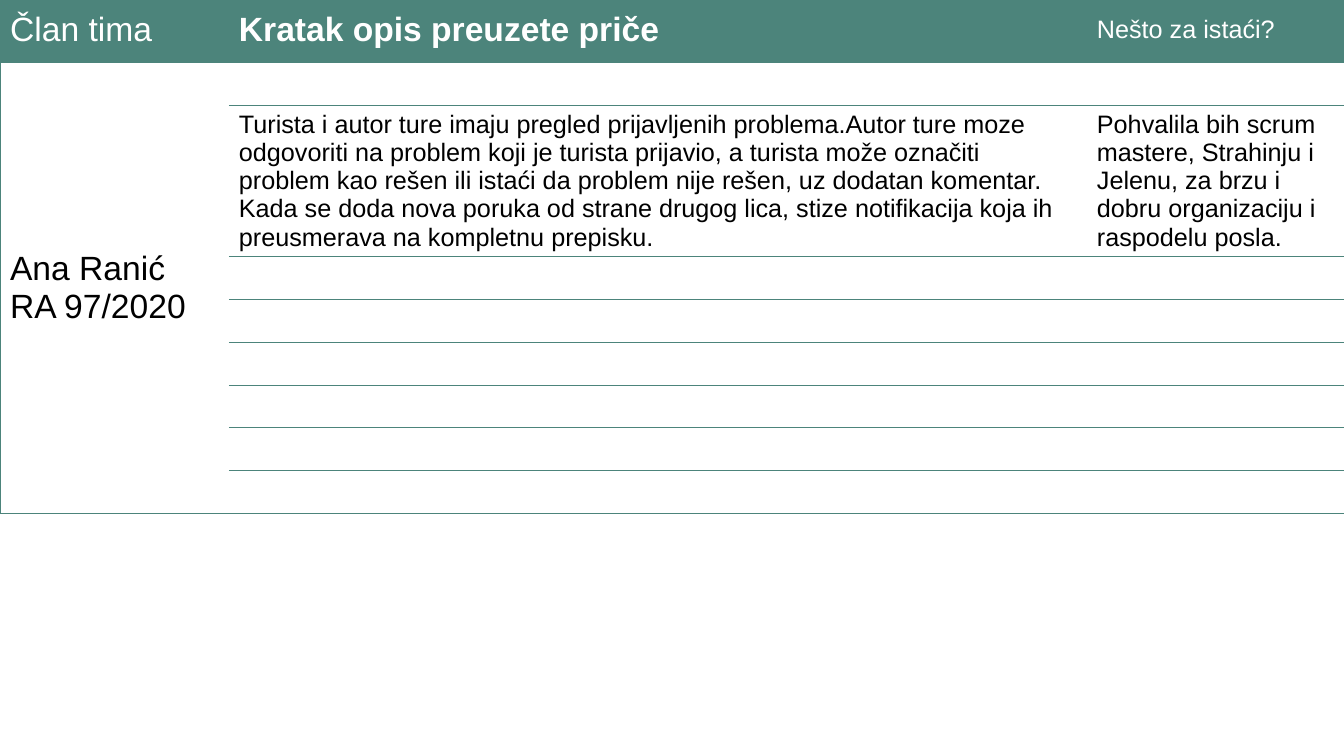
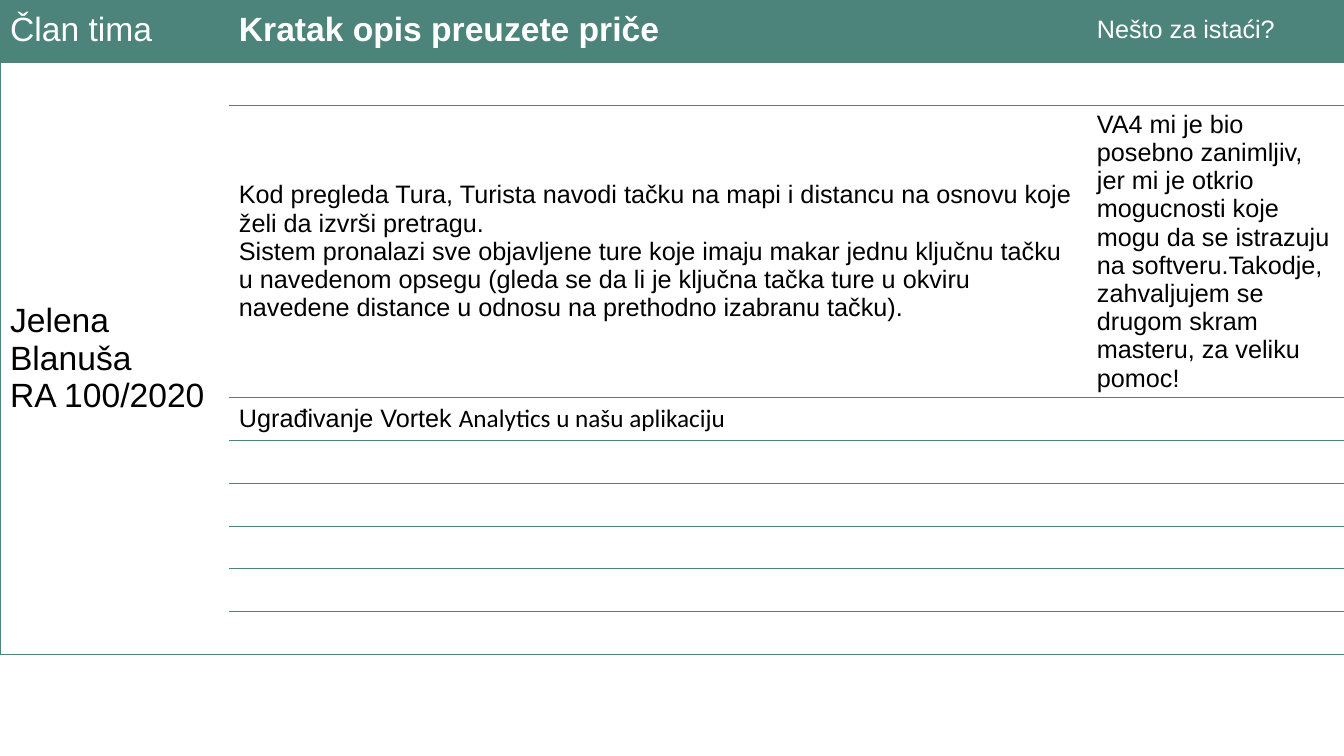
from lxml import etree
from pptx import Presentation
from pptx.dml.color import RGBColor
from pptx.enum.text import MSO_ANCHOR
from pptx.oxml.ns import qn
from pptx.util import Inches, Pt

MIDDLE = MSO_ANCHOR.MIDDLE
GREEN = RGBColor(0x4C, 0x84, 0x7B)
WHITE = RGBColor(0xFF, 0xFF, 0xFF)
BLACK = RGBColor(0, 0, 0)

BLANK_LAYOUT = 6
PLAIN_TABLE_STYLE = "{2D5ABB26-0587-4C30-8999-92F81FD0307C}"
BODY_FONT = "Arial"
COLUMN_WIDTHS = (Inches(2.27), Inches(8.51), Inches(2.56))
HEADER_HEIGHT = Inches(0.65)
STORY_HEIGHT = Inches(0.85)  # every story takes two table rows
LINE_HEIGHT = Inches(0.28)
STORY_COUNT = 4
LAST_ROW = 2 * STORY_COUNT
LAST_COLUMN = len(COLUMN_WIDTHS) - 1

LARGE = {"size": Pt(24), "bold": False}
SMALL = {"size": Pt(18), "bold": False}
HEADER = (
    ("Član tima", LARGE),
    ("Kratak opis preuzete priče", LARGE | {"bold": True}),
    ("Nešto za istaći?", SMALL),
)

# Each member: name lines, lines in the tallest cell, cells by (row, column).
# A cell is a list of paragraphs; a paragraph is a list of (text, font).
MEMBERS = (
    (
        ("Ana Ranić", "RA 97/2020"),
        5,
        {
            (2, 1): [[(
                "Turista i autor ture imaju pregled prijavljenih problema."
                "Autor ture moze odgovoriti na problem koji je turista prijavio, "
                "a turista može označiti problem kao rešen ili istaći da problem "
                "nije rešen, uz dodatan komentar. Kada se doda nova poruka od "
                "strane drugog lica, stize notifikacija koja ih preusmerava na "
                "kompletnu prepisku.", BODY_FONT)]],
            (2, 2): [[(
                "Pohvalila bih scrum mastere, Strahinju i Jelenu, za brzu i "
                "dobru organizaciju i raspodelu posla.", BODY_FONT)]],
        },
    ),
    (
        ("Jelena Blanuša", "RA 100/2020"),
        10,
        {
            (2, 1): [
                [("Kod pregleda Tura, Turista navodi tačku na mapi i distancu "
                  "na osnovu koje želi da izvrši pretragu.", BODY_FONT)],
                [("Sistem pronalazi sve objavljene ture koje imaju makar jednu "
                  "ključnu tačku u navedenom opsegu (gleda se da li je ključna "
                  "tačka ture u okviru navedene distance u odnosu na prethodno "
                  "izabranu tačku).", BODY_FONT)],
            ],
            (2, 2): [[(
                "VA4 mi je bio posebno zanimljiv, jer mi je otkrio mogucnosti "
                "koje mogu da se istrazuju na softveru.Takodje, zahvaljujem se "
                "drugom skram masteru, za veliku pomoc!", BODY_FONT)]],
            (3, 1): [[("Ugrađivanje Vortek ", BODY_FONT),
                      ("Analytics u našu aplikaciju", "Calibri")]],
        },
    ),
)


class TeamDeck:
    """Holds the shared style and the current slide."""

    def __init__(self):
        self.deck = Presentation()
        self.deck.slide_width = Inches(13.33)
        self.deck.slide_height = Inches(7.5)
        self.slide = None

    def new_slide(self):
        layout = self.deck.slide_layouts[BLANK_LAYOUT]
        self.slide = self.deck.slides.add_slide(layout)

    def cell_text(self, cell, paragraphs, style, color):
        frame = cell.text_frame
        for index, runs in enumerate(paragraphs):
            paragraph = frame.add_paragraph() if index else frame.paragraphs[0]
            for text, font_name in runs:
                run = paragraph.add_run()
                run.text = text
                for key, value in (style | {"name": font_name}).items():
                    setattr(run.font, key, value)
                run.font.color.rgb = color

    def border(self, cell, sides):
        properties = cell._tc.get_or_add_tcPr()
        for side in sides:
            line = etree.SubElement(properties, qn(f"a:ln{side}"), w=str(Pt(0.75)))
            fill = etree.SubElement(line, qn("a:solidFill"))
            etree.SubElement(fill, qn("a:srgbClr"), val=str(GREEN))

    def sides(self, row, column):
        """Outer frame, plus a line above every story right of the name."""
        story_start = row % 2 == 1 and (column > 0 or row == 1)
        name_cell = row == 1 and column == 0
        rules = {
            "L": column == 0,
            "R": column == LAST_COLUMN,
            "T": row == 0 or story_start,
            "B": row == LAST_ROW or name_cell,
        }
        return [side for side, drawn in rules.items() if drawn]

    def member_table(self, name_lines, text_lines, stories):
        text_height = text_lines * LINE_HEIGHT + Inches(0.1)
        heights = [HEADER_HEIGHT] + [STORY_HEIGHT // 2] * LAST_ROW
        heights[2] = text_height
        table = self.slide.shapes.add_table(
            len(heights), len(COLUMN_WIDTHS), Inches(0), Inches(-0.03),
            sum(COLUMN_WIDTHS), sum(heights)).table
        table.horz_banding = False
        table._tbl.tblPr.find(qn("a:tableStyleId")).text = PLAIN_TABLE_STYLE
        for column, width in zip(table.columns, COLUMN_WIDTHS):
            column.width = width
        for row, height in zip(table.rows, heights):
            row.height = height

        # Frame and fills
        for row in range(len(heights)):
            for column in range(len(COLUMN_WIDTHS)):
                cell = table.cell(row, column)
                cell.vertical_anchor = MIDDLE
                self.border(cell, self.sides(row, column))
                if row == 0:
                    cell.fill.solid()
                    cell.fill.fore_color.rgb = GREEN
                else:
                    cell.fill.background()

        # Header, member name and stories
        for column, (text, style) in enumerate(HEADER):
            self.cell_text(table.cell(0, column), [[(text, BODY_FONT)]], style, WHITE)
        name_cell = table.cell(1, 0)
        name_cell.merge(table.cell(LAST_ROW, 0))
        name = [[(line, BODY_FONT)] for line in name_lines]
        self.cell_text(name_cell, name, LARGE, BLACK)
        for position, paragraphs in stories.items():
            self.cell_text(table.cell(*position), paragraphs, SMALL, BLACK)


def main():
    team = TeamDeck()
    for member in MEMBERS:
        team.new_slide()
        team.member_table(*member)
    team.deck.save("out.pptx")


if __name__ == "__main__":
    main()
